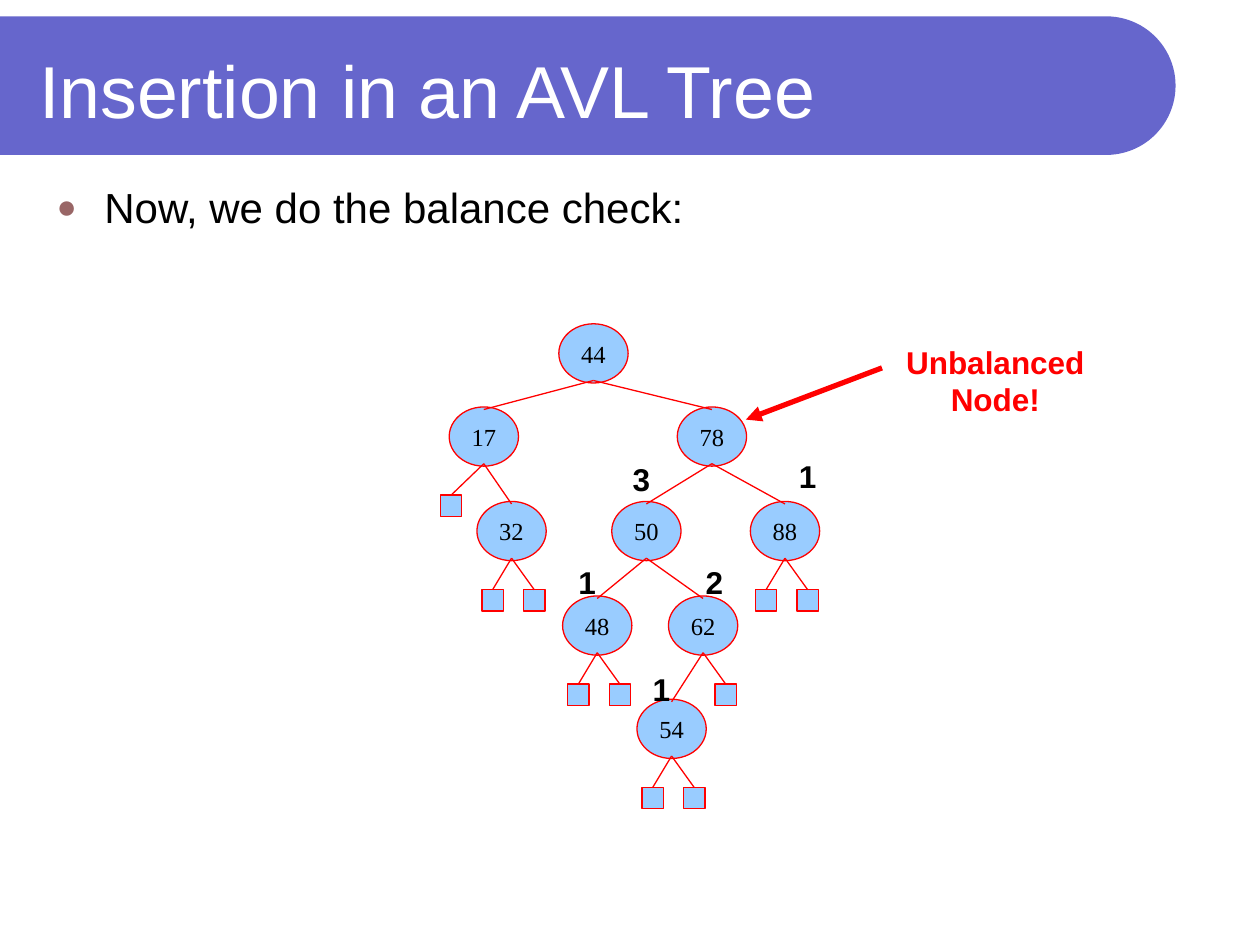
from lxml import etree
from pptx import Presentation
from pptx.dml.color import RGBColor
from pptx.enum import shapes, text
from pptx.oxml import ns
from pptx.util import Inches, Pt

COLORS = {
    "banner": "6666CC", "title": "FFFFFF", "body": "000000", "bullet": "996666",
    "node": "99CCFF", "red": "FF0000",
}
NODE_W, NODE_H, LEAF = 0.55, 0.47, 0.17
EDGE_START, EDGE_END, LEAF_DROP = 0.45, 0.02, 0.7
LEAF_LEFT, LEAF_RIGHT = -0.15, 0.18

NODES = {
    "44": (1.21, 0), "17": (0.34, 0.66), "78": (2.15, 0.66),
    "32": (0.56, 1.41), "50": (1.63, 1.41), "88": (2.73, 1.41),
    "48": (1.24, 2.16), "62": (2.08, 2.16), "54": (1.83, 2.98),
}
EDGES = [("44", "17"), ("44", "78"), ("17", "32"), ("78", "50"), ("78", "88"),
         ("50", "48"), ("50", "62"), ("62", "54")]
LEAVES = {
    "17": [-0.26], "32": [LEAF_LEFT, LEAF_RIGHT], "48": [LEAF_LEFT, LEAF_RIGHT],
    "88": [LEAF_LEFT, LEAF_RIGHT], "62": [LEAF_RIGHT], "54": [LEAF_LEFT, LEAF_RIGHT],
}
HEIGHTS = [("1", 1.58, 2.7), ("2", 2, 1.85), ("1", 0.99, 1.85),
           ("3", 1.42, 1.03), ("1", 2.74, 1.01)]


def color(name):
    return RGBColor.from_string(COLORS[name])


def write(paragraph, words, size, color_name, font="Arial", bold=False):
    run = paragraph.add_run()
    run.text = words
    run.font.size = Pt(size)
    run.font.name = font
    run.font.bold = bold
    run.font.color.rgb = color(color_name)


def add_filled(slide, kind, left, top, width, height, fill, line=None):
    shape = slide.shapes.add_shape(kind, Inches(left), Inches(top), Inches(width), Inches(height))
    shape.shadow.inherit = False
    shape.fill.solid()
    shape.fill.fore_color.rgb = color(fill)
    if line:
        shape.line.color.rgb = color(line)
        shape.line.width = Pt(0.75)
    else:
        shape.line.fill.background()
    return shape


def add_line(slide, start, end, width=0.75):
    line = slide.shapes.add_connector(
        shapes.MSO_CONNECTOR.STRAIGHT, *(Inches(v) for v in (*start, *end)))
    line.line.color.rgb = color("red")
    line.line.width = Pt(width)
    etree.SubElement(line._element.spPr, ns.qn("a:effectLst"))
    return line


def add_label(slide, words, left, top, width, height, color_name):
    label = slide.shapes.add_textbox(Inches(left), Inches(top), Inches(width), Inches(height))
    label.text_frame.word_wrap = True
    paragraph = label.text_frame.paragraphs[0]
    paragraph.alignment = text.PP_ALIGN.CENTER
    write(paragraph, words, 18, color_name, bold=True)


def add_banner(slide, left, top, width, height):
    banner = add_filled(slide, shapes.MSO_SHAPE.ROUND_2_SAME_RECTANGLE,
                        left + (width - height) / 2, top - (width - height) / 2,
                        height, width, "banner")
    banner.adjustments[0] = 0.5
    banner.rotation = 90
    slide.shapes._spTree.insert(2, banner._element)

    title = slide.shapes.title
    title.left, title.top = Inches(left + 0.21), Inches(top + 0.08)
    title.width, title.height = Inches(8.77), Inches(1)
    title.text_frame.vertical_anchor = text.MSO_ANCHOR.MIDDLE
    paragraph = title.text_frame.paragraphs[0]
    paragraph.alignment = text.PP_ALIGN.LEFT
    write(paragraph, "Insertion in an AVL Tree", 42, "title")


def add_body(slide, left, top, width, height):
    body = slide.shapes.add_textbox(Inches(left), Inches(top), Inches(width), Inches(height))
    body.text_frame.word_wrap = True
    paragraph = body.text_frame.paragraphs[0]
    properties = paragraph._p.get_or_add_pPr()
    properties.set("marL", str(Inches(0.38)))
    properties.set("indent", str(-Inches(0.38)))
    bullet_color = etree.SubElement(properties, ns.qn("a:buClr"))
    etree.SubElement(bullet_color, ns.qn("a:srgbClr"), val=COLORS["bullet"])
    etree.SubElement(properties, ns.qn("a:buSzPct"), val="80000")
    etree.SubElement(properties, ns.qn("a:buFont"), typeface="Arial")
    etree.SubElement(properties, ns.qn("a:buChar"), char="●")
    write(paragraph, "Now, we do the balance check:", 24, "body")


def add_node(slide, key, center, top):
    node = add_filled(slide, shapes.MSO_SHAPE.OVAL, center - NODE_W / 2, top,
                      NODE_W, NODE_H, "node", "red")
    node.text_frame.word_wrap = False
    node.text_frame.vertical_anchor = text.MSO_ANCHOR.MIDDLE
    paragraph = node.text_frame.paragraphs[0]
    paragraph.alignment = text.PP_ALIGN.CENTER
    write(paragraph, key, 14, "body", "Times New Roman")


def add_tree(slide, left, top):
    places = {key: (left + x, top + y) for key, (x, y) in NODES.items()}
    for key, (x, y) in places.items():
        add_node(slide, key, x, y)
    for parent, child in EDGES:
        (px, py), (cx, cy) = places[parent], places[child]
        add_line(slide, (px, py + EDGE_START), (cx, cy + EDGE_END))
    for parent, offsets in LEAVES.items():
        x, y = places[parent]
        for offset in offsets:
            add_filled(slide, shapes.MSO_SHAPE.RECTANGLE, x + offset - LEAF / 2,
                       y + LEAF_DROP, LEAF, LEAF, "node", "red")
            add_line(slide, (x, y + EDGE_START), (x + offset, y + LEAF_DROP))
    for height, x, y in HEIGHTS:
        add_label(slide, height, left + x, top + y, 0.34, 0.4, "body")


def add_callout(slide, left, top, width, height):
    arrow = add_line(slide, (left + 0.17, top + 0.25), (left - 0.91, top + 0.66), 3)
    etree.SubElement(arrow.line._get_or_add_ln(), ns.qn("a:tailEnd"), type="triangle")
    add_label(slide, "Unbalanced Node!", left, top, width, height, "red")


def main():
    deck = Presentation()
    deck.slide_width, deck.slide_height = Inches(10), Inches(7.5)
    slide = deck.slides.add_slide(deck.slide_layouts[5])
    add_banner(slide, 0, 0.13, 9.33, 1.1)
    add_body(slide, 0.35, 1.39, 9.29, 5.75)
    add_tree(slide, 3.5, 2.57)
    add_callout(slide, 6.83, 2.67, 2.14, 0.7)
    deck.save("out.pptx")


if __name__ == "__main__":
    main()
